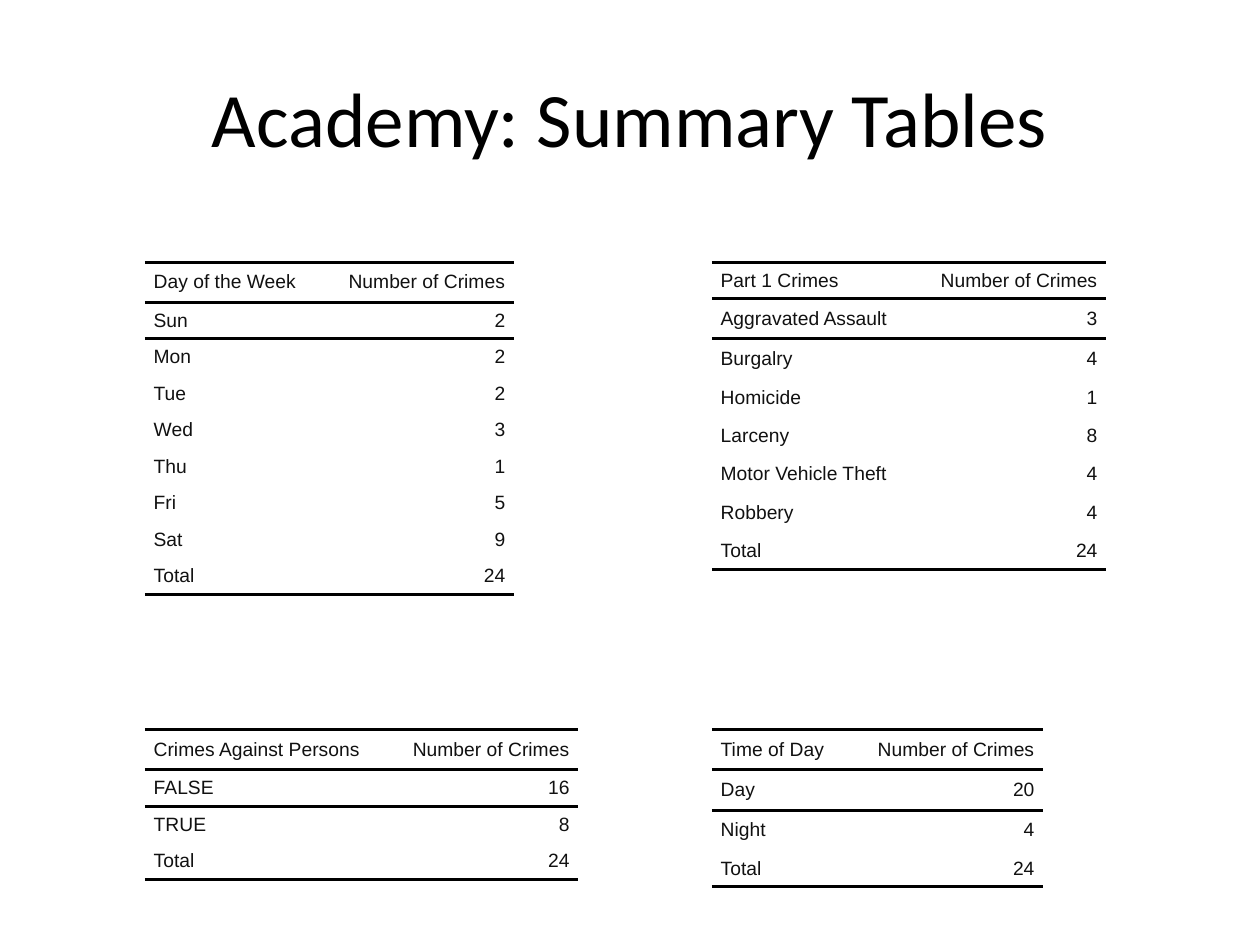
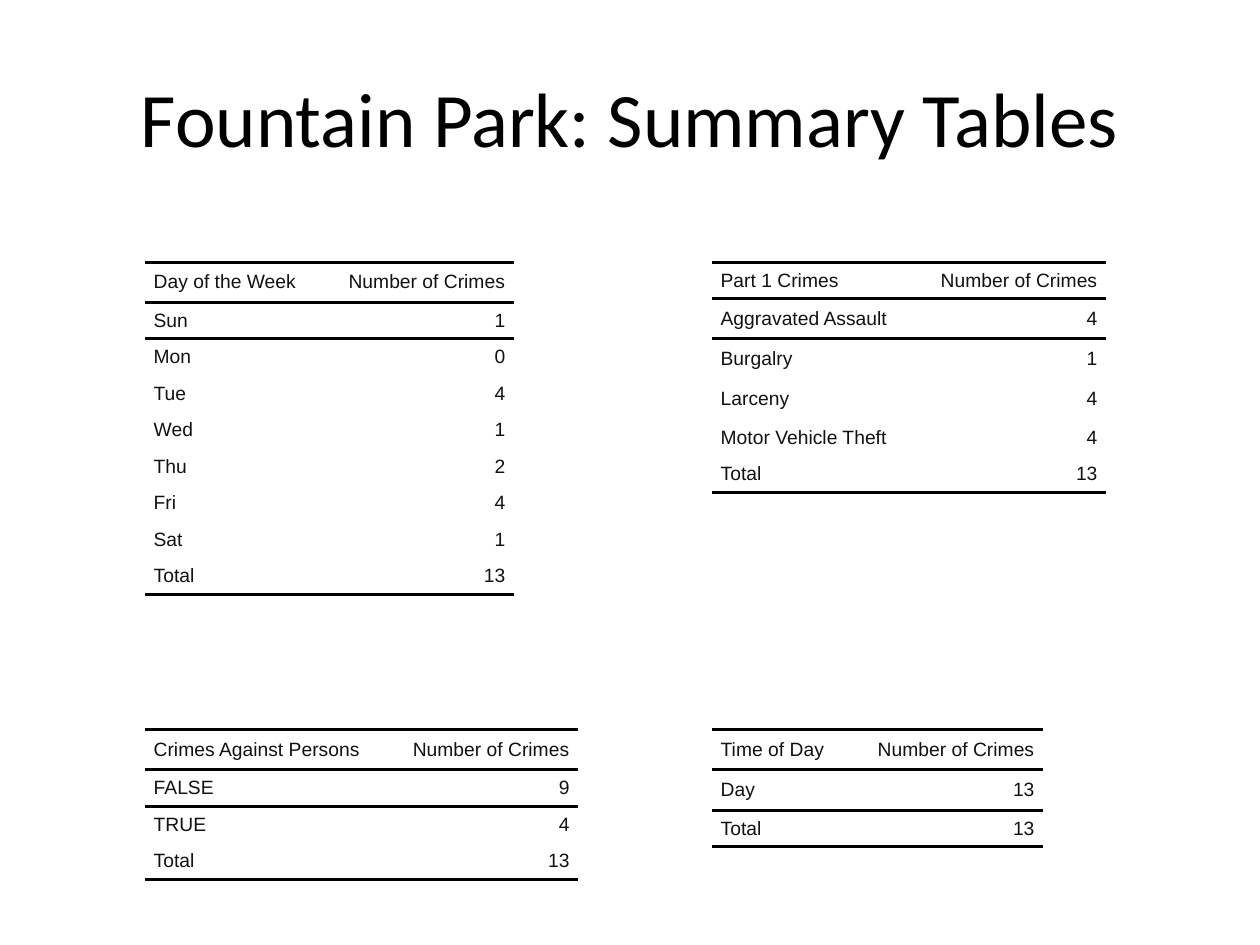
from dataclasses import dataclass

import pptx
import pptx.dml.color
import pptx.enum.text
import pptx.oxml
import pptx.oxml.ns
import pptx.util
from pptx.util import Inches

ALIGN = pptx.enum.text.PP_ALIGN
MIDDLE = pptx.enum.text.MSO_ANCHOR.MIDDLE


@dataclass(frozen=True)
class Theme:
    title_font: str = "Calibri"
    title_size: int = 44
    title_color: str = "000000"
    table_font: str = "Arial"
    table_size: int = 11
    table_color: str = "111111"
    rule_color: str = "000000"
    rule_width: int = 2
    table_style: str = "{2D5ABB26-0587-4C30-8999-92F81FD0307C}"


THEME = Theme()

LEFT, RIGHT = 1.15, 5.65
UPPER, LOWER = 2.08, 5.79
COUNT_HEADING = "Number of Crimes"
COUNT_WIDTH = 1.52
CELL_PADDING = 0.07
ROW_HEIGHT, TALL_ROW_HEIGHT = 0.29, 0.32
TALL_ROWS = {
    "Day of the Week", "Crimes Against Persons", "Time of Day",
    "Aggravated Assault", "Burgalry", "Larceny", "Robbery", "Day", "Night",
}

LAYOUT = {
    "Part 1 Crimes": (RIGHT, UPPER, 1.61),
    "Day of the Week": (LEFT, UPPER, 1.41),
    "Crimes Against Persons": (LEFT, LOWER, 1.92),
    "Time of Day": (RIGHT, LOWER, 1.11),
}

DAYS = ("Sun", "Mon", "Tue", "Wed", "Thu", "Fri", "Sat")

NEIGHBORHOODS = {
    "Academy": {
        "Part 1 Crimes": {
            "Aggravated Assault": 3, "Burgalry": 4, "Homicide": 1,
            "Larceny": 8, "Motor Vehicle Theft": 4, "Robbery": 4,
        },
        "Day of the Week": dict(zip(DAYS, (2, 2, 2, 3, 1, 5, 9))),
        "Crimes Against Persons": {"FALSE": 16, "TRUE": 8},
        "Time of Day": {"Day": 20, "Night": 4},
    },
    "Fountain Park": {
        "Part 1 Crimes": {
            "Aggravated Assault": 4, "Burgalry": 1,
            "Larceny": 4, "Motor Vehicle Theft": 4,
        },
        "Day of the Week": dict(zip(DAYS, (1, 0, 4, 1, 2, 4, 1))),
        "Crimes Against Persons": {"FALSE": 9, "TRUE": 4},
        "Time of Day": {"Day": 13},
    },
}


def style_paragraph(p, font, size, color, align):
    p.alignment = align
    p.font.name = font
    p.font.size = pptx.util.Pt(size)
    p.font.color.rgb = pptx.dml.color.RGBColor.from_string(color)


def add_title(slide, text):
    sp = slide.shapes.add_textbox(Inches(0.5), Inches(0.3), Inches(9), Inches(1.25))
    tf = sp.text_frame
    tf.word_wrap = True
    tf.vertical_anchor = MIDDLE
    p = tf.paragraphs[0]
    p.text = text
    style_paragraph(p, THEME.title_font, THEME.title_size, THEME.title_color, ALIGN.CENTER)


def add_rule(cell, side):
    line = pptx.oxml.parse_xml(
        f'<a:{side} {pptx.oxml.ns.nsdecls("a")} w="{pptx.util.Pt(THEME.rule_width)}">'
        f'<a:solidFill><a:srgbClr val="{THEME.rule_color}"/></a:solidFill></a:{side}>'
    )
    tc_pr = cell._tc.get_or_add_tcPr()
    tc_pr.insert(len(tc_pr.findall(pptx.oxml.ns.qn("a:lnT"))), line)


def fill_cell(cell, text, align):
    cell.fill.background()
    cell.vertical_anchor = MIDDLE
    cell.margin_left = cell.margin_right = Inches(CELL_PADDING)
    cell.margin_top = cell.margin_bottom = 0
    p = cell.text_frame.paragraphs[0]
    p.text = str(text)
    style_paragraph(p, THEME.table_font, THEME.table_size, THEME.table_color, align)


def add_summary_table(slide, heading, counts):
    left, top, label_width = LAYOUT[heading]
    rows = [(heading, COUNT_HEADING), *counts.items(), ("Total", sum(counts.values()))]
    heights = [TALL_ROW_HEIGHT if label in TALL_ROWS else ROW_HEIGHT for label, _ in rows]
    table = slide.shapes.add_table(
        len(rows), 2, Inches(left), Inches(top),
        Inches(label_width + COUNT_WIDTH), Inches(sum(heights)),
    ).table
    table.first_row = table.horz_banding = False
    table._tbl.tblPr.find(pptx.oxml.ns.qn("a:tableStyleId")).text = THEME.table_style
    for column, width in zip(table.columns, (label_width, COUNT_WIDTH)):
        column.width = Inches(width)
    for i, (values, height) in enumerate(zip(rows, heights)):
        table.rows[i].height = Inches(height)
        for j, align in enumerate((ALIGN.LEFT, ALIGN.RIGHT)):
            cell = table.cell(i, j)
            fill_cell(cell, values[j], align)
            if i == 0:
                add_rule(cell, "lnT")
            if i in (0, len(rows) - 1):
                add_rule(cell, "lnB")
            if i == 1:
                add_rule(cell, "lnT")


def main():
    prs = pptx.Presentation()
    prs.slide_width, prs.slide_height = Inches(10), Inches(7.5)
    for neighborhood, summaries in NEIGHBORHOODS.items():
        slide = prs.slides.add_slide(prs.slide_layouts[6])
        add_title(slide, f"{neighborhood}: Summary Tables")
        for heading, counts in summaries.items():
            add_summary_table(slide, heading, counts)
    prs.save("out.pptx")


if __name__ == "__main__":
    main()
